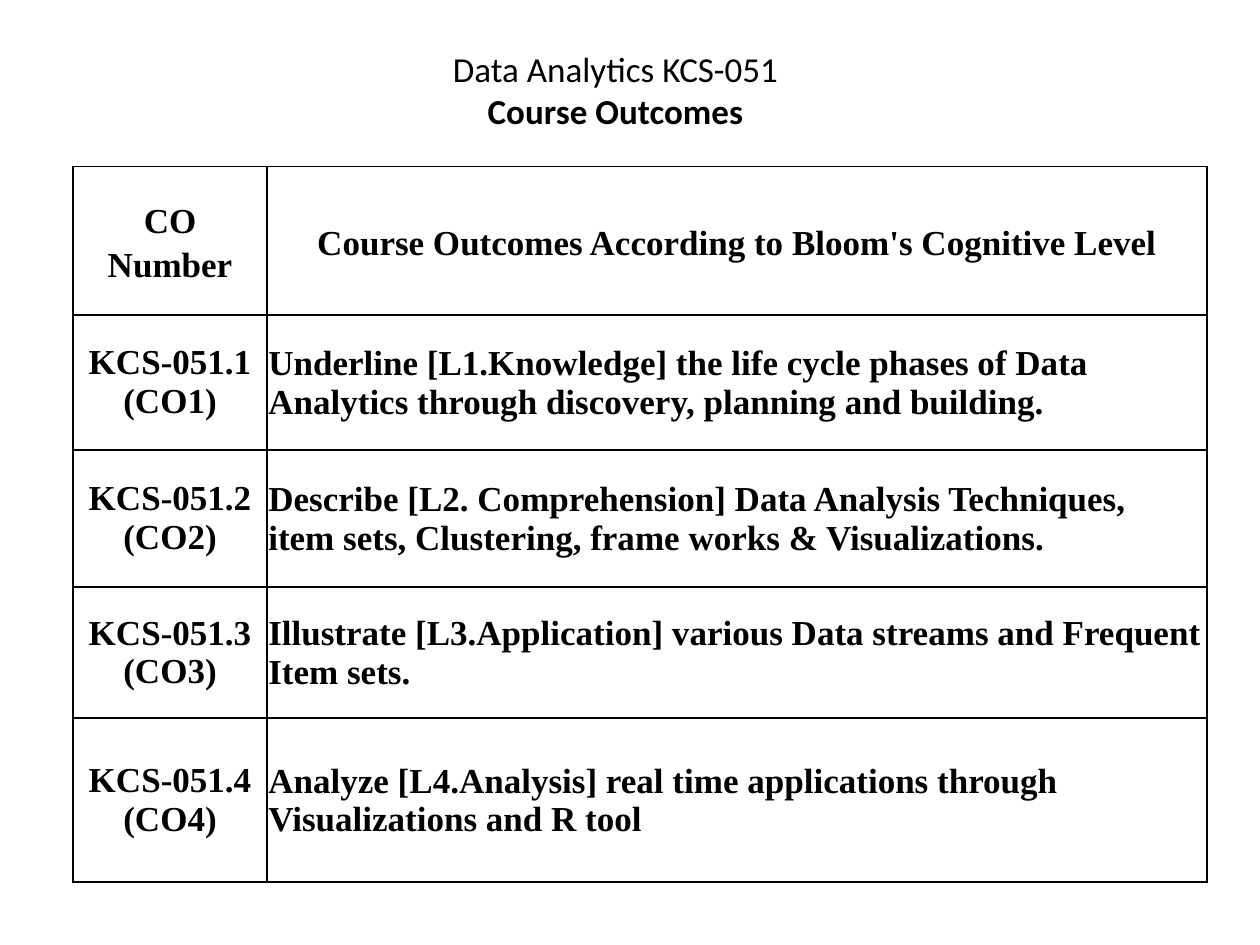
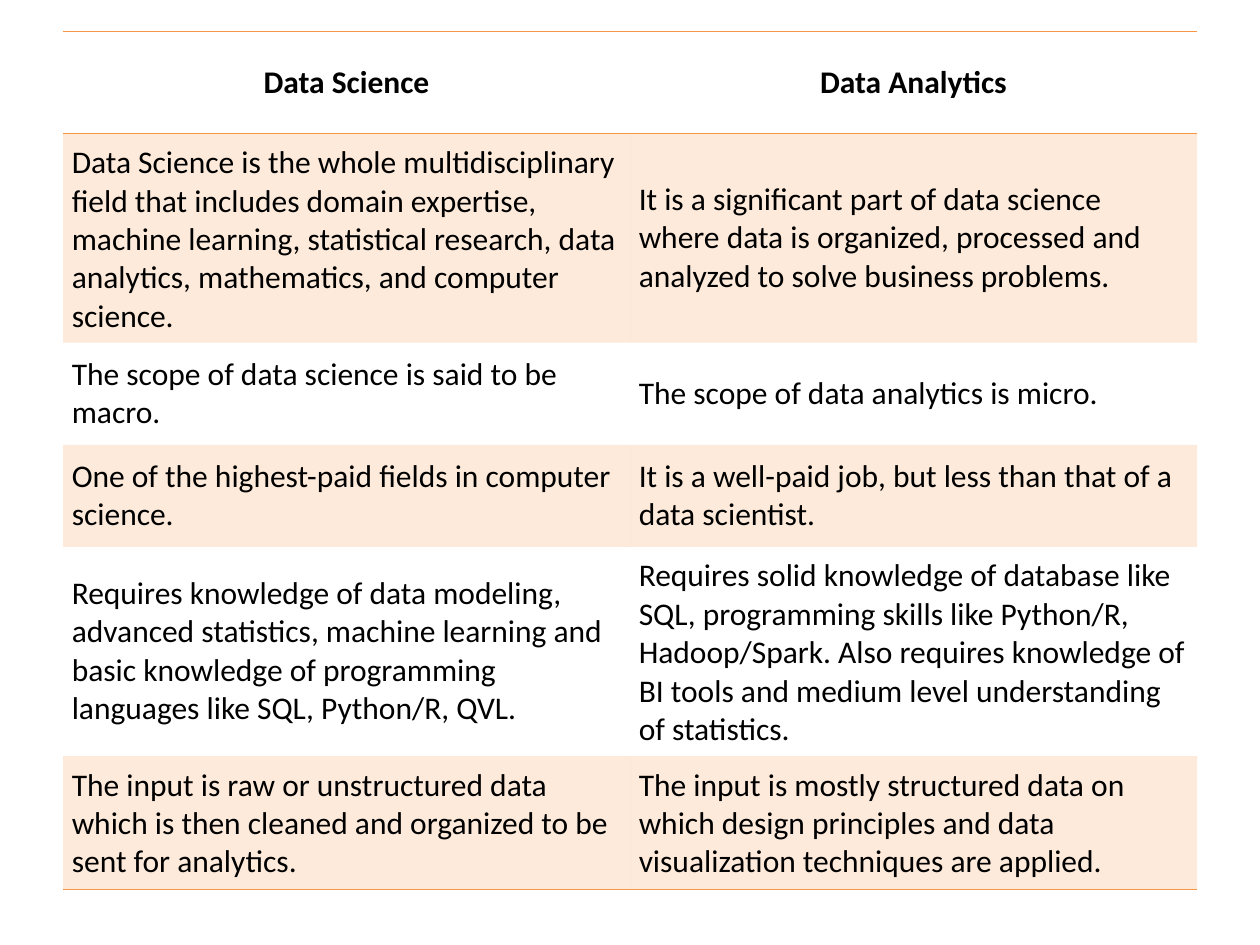
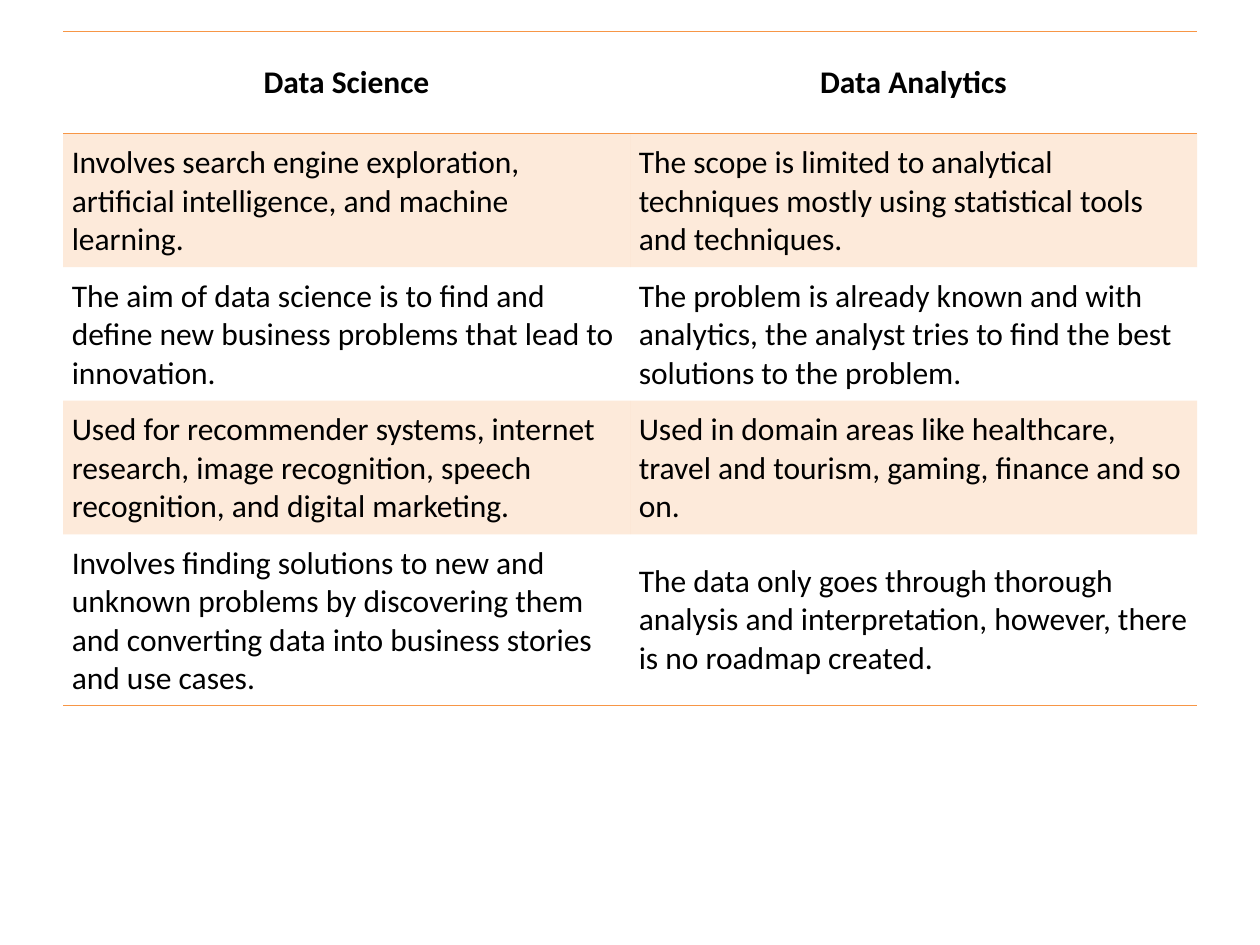
from dataclasses import dataclass

from lxml import etree
from pptx import Presentation
from pptx.dml.color import RGBColor
from pptx.enum import text
from pptx.oxml.ns import qn
from pptx.util import Inches, Pt

CENTER = text.PP_ALIGN.CENTER
LEFT = text.PP_ALIGN.LEFT


@dataclass(frozen=True)
class Theme:
    ink: str = "000000"
    accent: str = "F79646"
    band_opacity: int = 20
    sans: str = "Calibri"
    serif: str = "Times New Roman"
    large: int = 20
    body: int = 18


THEME = Theme()
GRID_LINE = (THEME.ink, 1)
ACCENT_LINE = (THEME.accent, 1)

LABEL_MARGINS = (0.07, 0, 0.07, 0)
OUTCOME_MARGINS = (0.01, 0.01, 0.01, 0)
COMPARISON_MARGINS = (0.07, 0.08, 0.07, 0.08)

OUTCOMES = [
    ("CO\nNumber", "Course Outcomes According to Bloom's Cognitive Level"),
    ("KCS-051.1\n(CO1)", "Underline [L1.Knowledge] the life cycle phases of Data Analytics "
     "through discovery, planning and building."),
    ("KCS-051.2 (CO2)", "Describe [L2. Comprehension] Data Analysis Techniques,  item sets, "
     "Clustering, frame works & Visualizations."),
    ("KCS-051.3 (CO3)", "Illustrate [L3.Application] various Data streams and Frequent "
     "Item sets."),
    ("KCS-051.4 (CO4)", "Analyze [L4.Analysis] real time applications through "
     "Visualizations and R tool"),
]

COMPARISON_HEADER = ("Data Science", "Data Analytics")
SCOPE_AND_SKILLS = [
    ("Data Science is the whole multidisciplinary field that includes domain expertise, "
     "machine learning, statistical research, data analytics, mathematics, and computer "
     "science.",
     "It is a significant part of data science where data is organized, processed and "
     "analyzed to solve business problems."),
    ("The scope of data science is said to be macro.",
     "The scope of data analytics is micro."),
    ("One of the highest-paid fields in computer science.",
     "It is a well-paid job, but less than that of a data scientist."),
    ("Requires knowledge of data modeling, advanced statistics, machine learning and basic "
     "knowledge of programming languages like SQL, Python/R, QVL.",
     "Requires solid knowledge of database like SQL, programming skills like Python/R, "
     "Hadoop/Spark. Also requires knowledge of BI tools and medium level understanding of "
     "statistics."),
    ("The input is raw or unstructured data which is then cleaned and organized to be sent "
     "for analytics.",
     "The input is mostly structured data on which design principles and data "
     "visualization techniques are applied."),
]
AIMS_AND_USES = [
    ("Involves search engine exploration, artificial intelligence, and machine learning.",
     "The scope is limited to analytical techniques mostly using statistical tools and "
     "techniques."),
    ("The aim of data science is to find and define new business problems that lead to "
     "innovation.",
     "The problem is already known and with analytics, the analyst tries to find the best "
     "solutions to the problem."),
    ("Used for recommender systems, internet research, image recognition, speech "
     "recognition, and digital marketing.",
     "Used in domain areas like healthcare, travel and tourism, gaming, finance and so on."),
    ("Involves finding solutions to new and unknown problems by discovering them and "
     "converting data into business stories and use cases.",
     "The data only goes through thorough analysis and interpretation, however, there is "
     "no roadmap created."),
]


def add_blank_slide(presentation):
    return presentation.slides.add_slide(presentation.slide_layouts[6])


def format_paragraph(paragraph, font, size, bold=False, align=LEFT, line_spacing=None):
    paragraph.alignment = align
    if line_spacing:
        paragraph.line_spacing = line_spacing
    for run in paragraph.runs:
        run.font.name = font
        run.font.size = Pt(size)
        run.font.bold = bold
        run.font.color.rgb = RGBColor.from_string(THEME.ink)


def add_heading(slide, lines):
    """Centred heading whose last line is bold."""
    box = slide.shapes.add_textbox(Inches(1.5), Inches(0.33), Inches(6.77), Inches(0.77))
    frame = box.text_frame
    frame.word_wrap = True
    frame.text = "\n".join(lines)
    for paragraph in frame.paragraphs:
        format_paragraph(paragraph, THEME.sans, THEME.large, align=CENTER)
    for run in frame.paragraphs[-1].runs:
        run.font.bold = True


def add_plain_table(slide, left, top, height, widths, row_heights):
    """Table without built-in header or banding; rows may grow with their text."""
    frame = slide.shapes.add_table(len(row_heights), len(widths), Inches(left), Inches(top),
                                   Inches(sum(widths)), Inches(height))
    table = frame.table
    table.first_row = False
    table.horz_banding = False
    for column, width in zip(table.columns, widths):
        column.width = Inches(width)
    for row, row_height in zip(table.rows, row_heights):
        row.height = Inches(row_height)
    frame.height = Inches(height)
    return table


def set_borders(cell, left=None, right=None, top=None, bottom=None):
    """Each side is a (colour, points) pair, or None for no line."""
    properties = cell._tc.get_or_add_tcPr()
    for tag, side in (("lnL", left), ("lnR", right), ("lnT", top), ("lnB", bottom)):
        line = etree.SubElement(properties, qn(f"a:{tag}"))
        if side is None:
            etree.SubElement(line, qn("a:noFill"))
            continue
        colour, points = side
        line.set("w", str(Pt(points)))
        fill = etree.SubElement(line, qn("a:solidFill"))
        etree.SubElement(fill, qn("a:srgbClr"), val=colour)


def set_band(cell, banded):
    if not banded:
        cell.fill.background()
        return
    cell.fill.solid()
    cell.fill.fore_color.rgb = RGBColor.from_string(THEME.accent)
    colour = cell._tc.tcPr.find(f"{qn('a:solidFill')}/{qn('a:srgbClr')}")
    etree.SubElement(colour, qn("a:alpha"), val=str(THEME.band_opacity * 1000))


def fill_cell(cell, content, margins, **style):
    cell.vertical_anchor = text.MSO_ANCHOR.MIDDLE
    (cell.margin_left, cell.margin_top,
     cell.margin_right, cell.margin_bottom) = map(Inches, margins)
    cell.text_frame.text = content
    for paragraph in cell.text_frame.paragraphs:
        format_paragraph(paragraph, **style)


def add_outcomes_table(slide):
    table = add_plain_table(slide, 0.58, 1.32, 5.68, (1.54, 7.46),
                            (1.18, 1.07, 1.09, 1.04, 1.3))
    for row, contents in enumerate(OUTCOMES):
        for column, content in enumerate(contents):
            cell = table.cell(row, column)
            is_label = row == 0 or column == 0
            set_borders(cell, GRID_LINE, GRID_LINE, GRID_LINE, GRID_LINE)
            set_band(cell, False)
            fill_cell(cell, content, LABEL_MARGINS if is_label else OUTCOME_MARGINS,
                      font=THEME.serif, size=THEME.large, bold=True,
                      align=CENTER if is_label else LEFT,
                      line_spacing=1.15 if row == 0 else None)


def add_comparison_table(slide, comparisons, height):
    rows = [COMPARISON_HEADER, *comparisons]
    table = add_plain_table(slide, 0.5, 0.25, height, (4.5, 4.5), [0.81] * len(rows))
    rules = dict.fromkeys((0, 1, len(rows)), ACCENT_LINE)
    for row, contents in enumerate(rows):
        for column, content in enumerate(contents):
            cell = table.cell(row, column)
            is_header = row == 0
            set_borders(cell, top=rules.get(row), bottom=rules.get(row + 1))
            set_band(cell, row % 2 == 1)
            fill_cell(cell, content, COMPARISON_MARGINS, font=THEME.sans, size=THEME.body,
                      bold=is_header, align=CENTER if is_header else LEFT)


def main():
    presentation = Presentation()
    presentation.slide_width = Inches(10)
    presentation.slide_height = Inches(7.5)

    outcomes_slide = add_blank_slide(presentation)
    add_outcomes_table(outcomes_slide)
    add_heading(outcomes_slide, ("Data Analytics KCS-051", "Course Outcomes"))

    for comparisons, height in ((SCOPE_AND_SKILLS, 6.75), (AIMS_AND_USES, 5.29)):
        add_comparison_table(add_blank_slide(presentation), comparisons, height)

    presentation.save("out.pptx")


if __name__ == "__main__":
    main()
